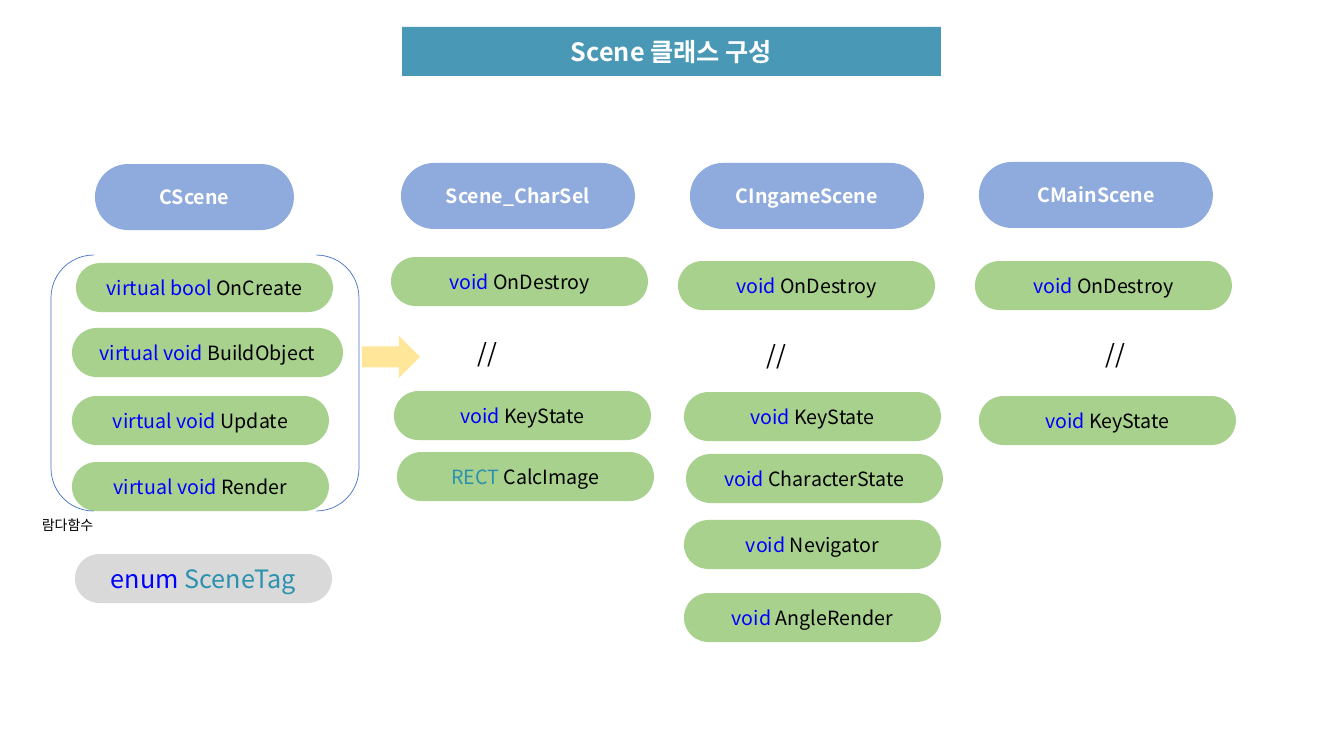
from lxml import etree
from pptx import Presentation
from pptx.dml.color import RGBColor
from pptx.enum.shapes import MSO_SHAPE
from pptx.enum.text import MSO_ANCHOR, MSO_AUTO_SIZE, PP_ALIGN
from pptx.oxml.ns import qn
from pptx.util import Pt

PX = 914400 / 100.8
FONT = "Noto Sans CJK KR"
ROUND = MSO_SHAPE.ROUNDED_RECTANGLE
BRACKET = MSO_SHAPE.DOUBLE_BRACKET
ARROW = MSO_SHAPE.RIGHT_ARROW
MIDDLE = MSO_ANCHOR.MIDDLE
CENTER = PP_ALIGN.CENTER
NO_FIT = MSO_AUTO_SIZE.NONE
GROW = MSO_AUTO_SIZE.SHAPE_TO_FIT_TEXT

WHITE, BLACK, BLUE, TEAL = "FFFFFF", "000000", "0000FF", "2B91AF"
HEADER_FILL, METHOD_FILL, ENUM_FILL = "8FAADC", "A9D18E", "D9D9D9"
PILL_WIDTH, PILL_HEIGHT, HEADER_HEIGHT = 257, 49, 66


def write(shape, parts, size, bold=False):
    """Fill the first paragraph with (text, colour) runs."""
    paragraph = shape.text_frame.paragraphs[0]
    for text, colour in parts:
        run = paragraph.add_run()
        run.text = text
        run.font.size = Pt(size)
        run.font.bold = bold
        run.font.color.rgb = RGBColor.from_string(colour)
        run.font.name = FONT
        # Hangul takes the East Asian font
        etree.SubElement(run.font._element, qn("a:ea"), typeface=FONT)
    return paragraph


def add_pill(box, fill, parts, size=14, bold=False):
    pill = slide.shapes.add_shape(ROUND, *[round(v * PX) for v in box])
    pill.adjustments[0] = 0.5
    pill.shadow.inherit = False
    pill.fill.solid()
    pill.fill.fore_color.rgb = RGBColor.from_string(fill)
    pill.line.fill.background()
    pill.text_frame.vertical_anchor = MIDDLE
    write(pill, parts, size, bold).alignment = CENTER


presentation = Presentation()
presentation.slide_width = round(1344 * PX)
presentation.slide_height = round(756 * PX)
slide = presentation.slides.add_slide(presentation.slide_layouts[5])

# Title: the placeholder as a rounded bar
title = slide.shapes.title
title.left, title.top, title.width, title.height = [
    round(v * PX) for v in (402, 27, 539, 49)]
geometry = etree.SubElement(title._element.spPr, qn("a:prstGeom"), prst="roundRect")
guides = etree.SubElement(geometry, qn("a:avLst"))
etree.SubElement(guides, qn("a:gd"), name="adj", fmla="val 50000")
title.fill.solid()
title.fill.fore_color.rgb = RGBColor.from_string("4999B6")
title.text_frame.auto_size = NO_FIT
title.text_frame.vertical_anchor = MIDDLE
write(title, [("Scene 클래스 구성", WHITE)], 18, True).alignment = CENTER

# Class columns: header (name, left, top, width), then methods
# (left, top, width, type, type colour, name)
columns = [
    (("CScene", 95, 164, 199), [
        (76, 263, PILL_WIDTH, "virtual bool", BLUE, "OnCreate"),
        (72, 328, 271, "virtual void", BLUE, "BuildObject"),
        (72, 396, PILL_WIDTH, "virtual void", BLUE, "Update"),
        (72, 462, PILL_WIDTH, "virtual void", BLUE, "Render")]),
    (("Scene_CharSel", 401, 163, 234), [
        (391, 257, PILL_WIDTH, "void", BLUE, "OnDestroy"),
        (394, 391, PILL_WIDTH, "void", BLUE, "KeyState"),
        (397, 452, PILL_WIDTH, "RECT", TEAL, "CalcImage")]),
    (("CIngameScene", 690, 163, 234), [
        (678, 261, PILL_WIDTH, "void", BLUE, "OnDestroy"),
        (684, 392, PILL_WIDTH, "void", BLUE, "KeyState"),
        (686, 454, PILL_WIDTH, "void", BLUE, "CharacterState"),
        (684, 520, PILL_WIDTH, "void", BLUE, "Nevigator"),
        (684, 593, PILL_WIDTH, "void", BLUE, "AngleRender")]),
    (("CMainScene", 979, 162, 234), [
        (975, 261, PILL_WIDTH, "void", BLUE, "OnDestroy"),
        (979, 396, PILL_WIDTH, "void", BLUE, "KeyState")]),
]
for (class_name, left, top, width), methods in columns:
    add_pill((left, top, width, HEADER_HEIGHT), HEADER_FILL,
             [(class_name, WHITE)], bold=True)
    for left, top, width, kind, colour, method in methods:
        add_pill((left, top, width, PILL_HEIGHT), METHOD_FILL,
                 [(kind + " ", colour), (method, BLACK)])

# Enum under the base class
add_pill((75, 554, PILL_WIDTH, PILL_HEIGHT), ENUM_FILL,
         [("enum ", BLUE), ("SceneTag", TEAL)], 18)

# Bracket around the base methods
bracket = slide.shapes.add_shape(BRACKET, *[round(v * PX) for v in (51, 255, 308, 256)])
bracket.shadow.inherit = False
bracket.fill.background()
bracket.line.color.rgb = RGBColor.from_string("4472C4")
bracket.line.width = Pt(0.5)

# Arrow to the derived classes
arrow = slide.shapes.add_shape(ARROW, *[round(v * PX) for v in (362, 336, 58, 42)])
arrow.shadow.inherit = False
arrow.fill.solid()
arrow.fill.fore_color.rgb = RGBColor.from_string("FFE699")
arrow.line.fill.background()

# Ditto marks and the lambda label
labels = [
    ("//", 468, 332, 40, 40, 18),
    ("//", 757, 334, 40, 40, 18),
    ("//", 1096, 333, 40, 40, 18),
    ("람다함수", 32, 512, 77, 27, 10),
]
for text, left, top, width, height, size in labels:
    label = slide.shapes.add_textbox(*[round(v * PX) for v in (left, top, width, height)])
    label.text_frame.word_wrap = False
    label.text_frame.auto_size = GROW
    write(label, [(text, BLACK)], size)

presentation.save("out.pptx")
